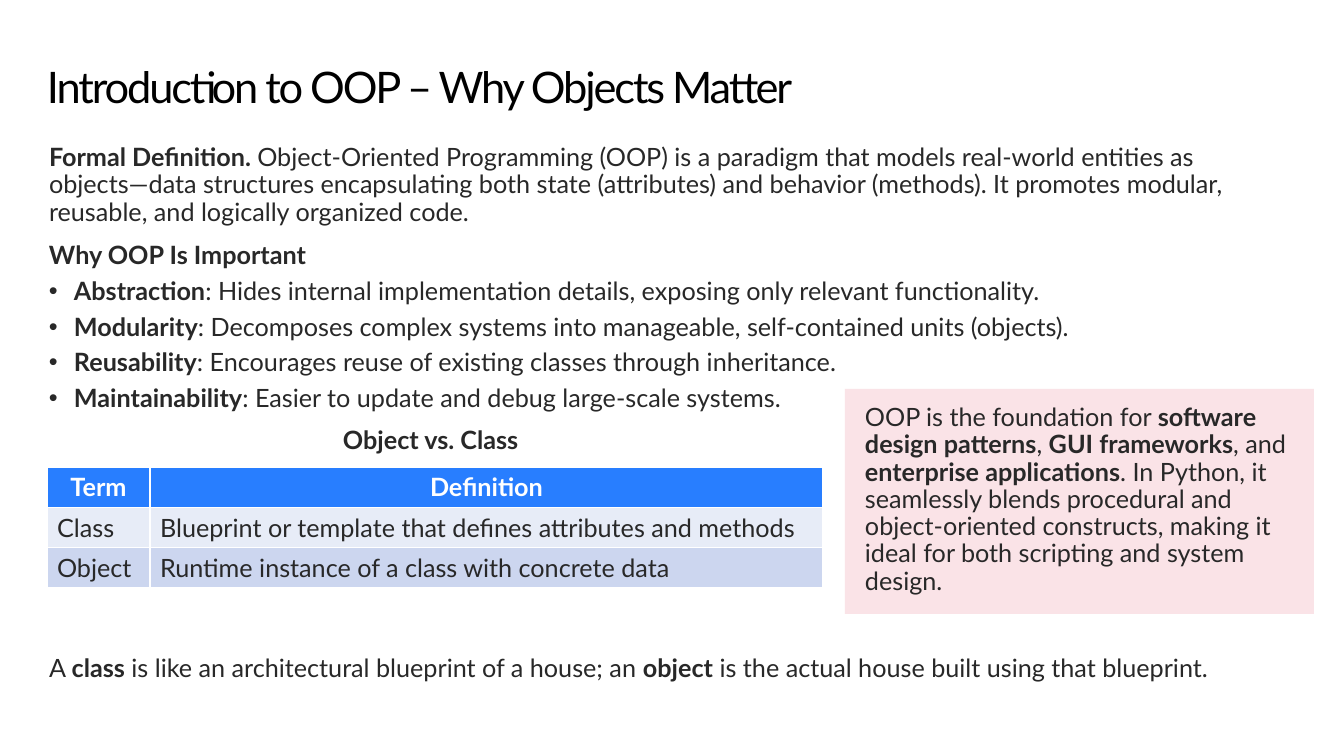
from lxml import etree
from pptx import Presentation
from pptx.dml.color import RGBColor
from pptx.enum.shapes import MSO_SHAPE
from pptx.enum.text import MSO_ANCHOR, MSO_AUTO_SIZE, PP_ALIGN
from pptx.oxml.ns import qn
from pptx.util import Emu, Pt

RECTANGLE = MSO_SHAPE.RECTANGLE
TOP, MIDDLE = MSO_ANCHOR.TOP, MSO_ANCHOR.MIDDLE
GROW = MSO_AUTO_SIZE.SHAPE_TO_FIT_TEXT
LEFT, CENTER = PP_ALIGN.LEFT, PP_ALIGN.CENTER

# Content: ** switches bold on and off, a leading "• " makes a bullet
TITLE = "Introduction to OOP – Why Objects Matter"
TITLE_AREA = (47, 48, 1249, 82)
TEXT_BOXES = [
    ((29, 129, 1249, 115), [
        "**Formal Definition. **Object-Oriented Programming (OOP) is a paradigm that models "
        "real-world entities as objects—data structures encapsulating both state (attributes) "
        "and behavior (methods). It promotes modular, reusable, and logically organized code.",
    ]),
    ((29, 227, 1153, 204), [
        "**Why OOP Is Important**",
        "• **Abstraction**: Hides internal implementation details, "
        "exposing only relevant functionality.",
        "• **Modularity**: Decomposes complex systems into manageable, "
        "self-contained units (objects).",
        "• **Reusability**: Encourages reuse of existing classes through inheritance.",
        "• **Maintainability**: Easier to update and debug large-scale systems.",
    ]),
    ((323, 414, 226, 60), ["**Object vs. Class**"]),
    ((29, 642, 1249, 60), [
        "A **class** is like an architectural blueprint of a house; an **object** "
        "is the actual house built using that blueprint.",
    ]),
]
CALLOUT_AREA = (845, 389, 469, 225)
CALLOUT = [
    "OOP is the foundation for **software design patterns**, **GUI frameworks**, and "
    "**enterprise applications**. In Python, it seamlessly blends procedural and "
    "object-oriented constructs, making it ideal for both scripting and system design.",
]
TERMS = [
    ("Term", "Definition"),
    ("Class", "Blueprint or template that defines attributes and methods"),
    ("Object", "Runtime instance of a class with concrete data"),
]
TABLE_LEFT, TABLE_TOP, ROW_HEIGHT = 47, 467, 40
COLUMN_WIDTHS = (103, 673)
ROW_FILLS = ("287EFF", "E7ECF7", "CCD6EF")

FONT, BODY_SIZE, TITLE_SIZE = "Lato", 18, 31
INK, BLACK, WHITE, PINK = "282828", "000000", "FFFFFF", "FAE3E7"
BULLET = "• "
BULLET_INDENT = 25
INSETS = (20, 16, 20, 16)
PX_PER_INCH = 100.8


def px(length):
    return Emu(round(length * 914400 / PX_PER_INCH))


def color(value):
    return RGBColor.from_string(value)


def style(font, size, ink, bold=False):
    font.name, font.size, font.bold = FONT, Pt(size), bold
    font.color.rgb = color(ink)


def set_frame(frame, insets):
    frame.word_wrap = True
    frame.vertical_anchor = TOP
    (frame.margin_left, frame.margin_top,
     frame.margin_right, frame.margin_bottom) = map(px, insets)


def add_bullet(para):
    properties = para._p.get_or_add_pPr()
    properties.set("marL", str(px(BULLET_INDENT)))
    properties.set("indent", str(-px(BULLET_INDENT)))
    etree.SubElement(properties, qn("a:buFont"), typeface="Arial")
    etree.SubElement(properties, qn("a:buChar"), char=BULLET.strip())


def fill_body(frame, lines):
    set_frame(frame, INSETS)
    frame.auto_size = GROW
    for index, line in enumerate(lines):
        para = frame.add_paragraph() if index else frame.paragraphs[0]
        if line.startswith(BULLET):
            add_bullet(para)
        para.alignment = LEFT
        para.line_spacing = 0.9
        para.space_after = Pt(6)
        for part, text in enumerate(line.removeprefix(BULLET).split("**")):
            if text:
                span = para.add_run()
                span.text = text
                style(span.font, BODY_SIZE, INK, bold=part % 2 == 1)


def add_borders(cell):
    properties = cell._tc.get_or_add_tcPr()
    for index, side in enumerate(("a:lnL", "a:lnR", "a:lnT", "a:lnB")):
        line = etree.Element(qn(side), w=str(Pt(1)))
        solid = etree.SubElement(line, qn("a:solidFill"))
        etree.SubElement(solid, qn("a:srgbClr"), val=WHITE)
        properties.insert(index, line)


deck = Presentation()
deck.slide_width, deck.slide_height = px(1344), px(756)
page = deck.slides.add_slide(deck.slide_layouts[6])

# Title
title = page.shapes.add_textbox(*map(px, TITLE_AREA)).text_frame
set_frame(title, (0, 18, 0, 0))
title.text = TITLE
heading = title.paragraphs[0]
heading.line_spacing = 0.9
style(heading.runs[0].font, TITLE_SIZE, BLACK)
heading.runs[0]._r.get_or_add_rPr().set("spc", "-150")

# Body text
for area, lines in TEXT_BOXES:
    fill_body(page.shapes.add_textbox(*map(px, area)).text_frame, lines)

# Object and class table
table = page.shapes.add_table(
    len(TERMS), len(COLUMN_WIDTHS), px(TABLE_LEFT), px(TABLE_TOP),
    px(sum(COLUMN_WIDTHS)), px(ROW_HEIGHT * len(TERMS))).table
for column, width in zip(table.columns, COLUMN_WIDTHS):
    column.width = px(width)
for row, (texts, fill) in enumerate(zip(TERMS, ROW_FILLS)):
    header = row == 0
    for column, text in enumerate(texts):
        cell = table.cell(row, column)
        cell.fill.solid()
        cell.fill.fore_color.rgb = color(fill)
        cell.vertical_anchor = MIDDLE
        cell.text_frame.text = text
        para = cell.text_frame.paragraphs[0]
        para.alignment = CENTER if header else LEFT
        style(para.runs[0].font, BODY_SIZE, WHITE if header else INK, bold=header)
        add_borders(cell)

# Callout
callout = page.shapes.add_shape(RECTANGLE, *map(px, CALLOUT_AREA))
callout.shadow.inherit = False
callout.fill.solid()
callout.fill.fore_color.rgb = color(PINK)
callout.line.fill.background()
fill_body(callout.text_frame, CALLOUT)

deck.save("out.pptx")
